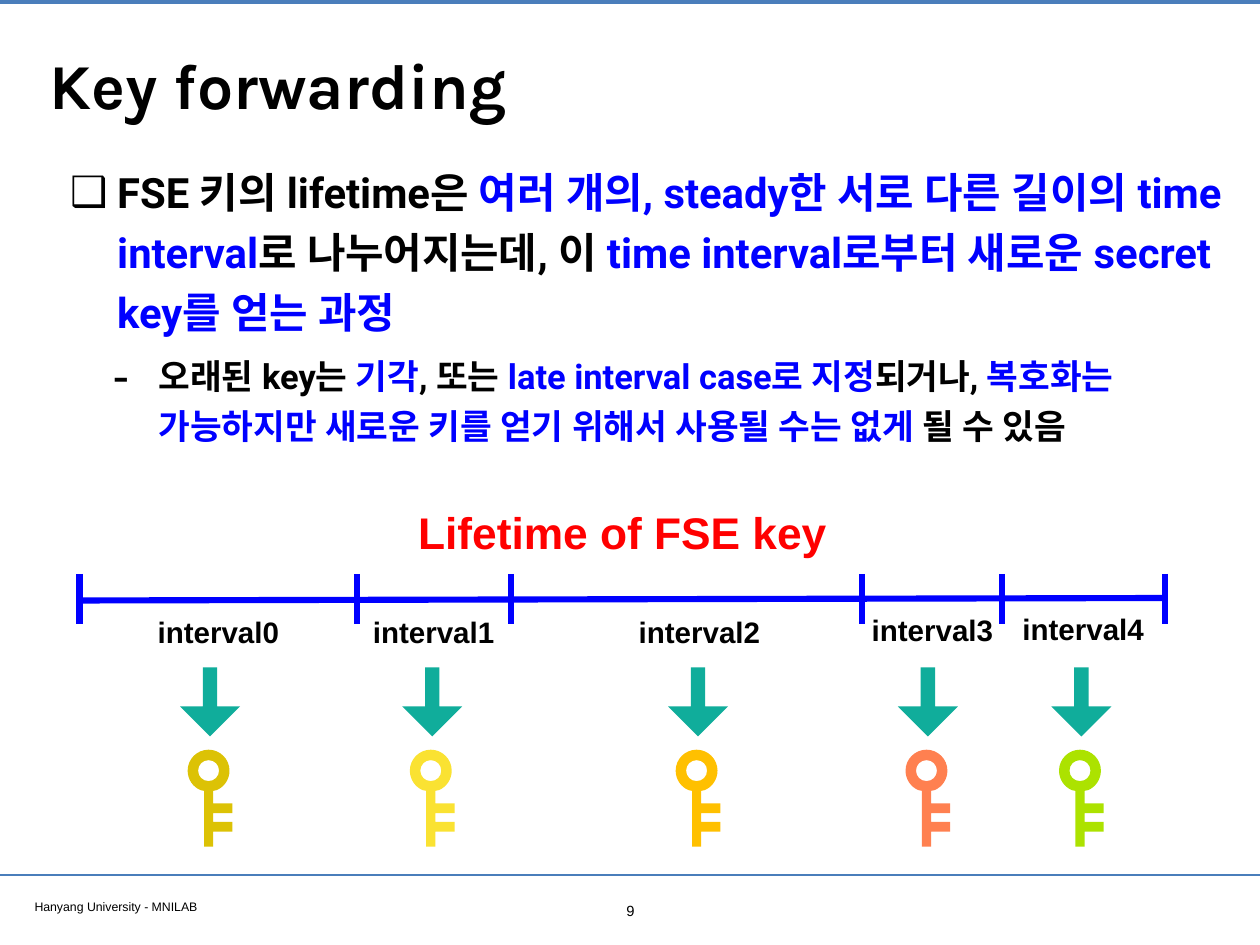
from lxml import etree
from pptx import Presentation
from pptx import util as u
from pptx.dml.color import RGBColor
from pptx.enum import shapes, text
from pptx.oxml.ns import qn

BLACK = RGBColor(0x00, 0x00, 0x00)
BLUE = RGBColor(0x00, 0x00, 0xFF)
RED = RGBColor(0xFF, 0x00, 0x00)
RULE_BLUE = RGBColor(0x4A, 0x7E, 0xBB)
TEAL = RGBColor(0x10, 0xAD, 0x9B)
INSET = u.Cm(0.15)

deck = Presentation()
deck.slide_width = u.Cm(36.12)
deck.slide_height = u.Cm(27.1)
page = deck.slides.add_slide(deck.slide_layouts[1])


def add_line(x1, y1, x2, y2, color, width):
    line = page.shapes.add_connector(
        shapes.MSO_CONNECTOR.STRAIGHT, u.Cm(x1), u.Cm(y1), u.Cm(x2), u.Cm(y2))
    line.line.color.rgb = color
    line.line.width = u.Pt(width)
    etree.SubElement(line._element.spPr, qn("a:effectLst"))


def place_text(box, place, words, size, font, color=BLACK, bold=False,
               align=text.PP_ALIGN.CENTER, anchor=text.MSO_ANCHOR.MIDDLE, wrap=True):
    """Position a box or placeholder (cm) and fill it with one formatted paragraph."""
    box.left, box.top, box.width, box.height = [u.Cm(value) for value in place]
    frame = box.text_frame
    frame.margin_left = frame.margin_right = frame.margin_top = frame.margin_bottom = INSET
    frame.auto_size = text.MSO_AUTO_SIZE.NONE
    frame.word_wrap = wrap
    frame.vertical_anchor = anchor
    frame.text = words
    para = frame.paragraphs[0]
    para.alignment = align
    for span in para.runs:
        span.font.size = u.Pt(size)
        span.font.name = font
        span.font.bold = bold
        span.font.color.rgb = color


# Frame of the page
add_line(0, 0.05, 36.12, 0.05, RULE_BLUE, 3.2)
add_line(0, 25.1, 36.12, 25.1, RULE_BLUE, 2)
place_text(page.shapes.add_textbox(0, 0, 0, 0), (0.84, 25.63, 13.87, 0.66),
           "Hanyang University - MNILAB", 10, "Arial",
           align=text.PP_ALIGN.LEFT, anchor=text.MSO_ANCHOR.TOP)
place_text(page.shapes.add_textbox(0, 0, 0, 0), (17.58, 25.7, 0.99, 0.79),
           "9", 12, "Arial", anchor=text.MSO_ANCHOR.TOP)
place_text(page.shapes.title, (1.27, 0.68, 33.55, 3.43), "Key forwarding", 52, "Karla",
           bold=True, align=text.PP_ALIGN.LEFT)

# Explanation: level, size, left margin, hanging indent, space before, bullet, bullet size, spans
points = [
    (0, 34, 1.35, 1.35, 0, "❑", 100, [
        ("FSE 키의 lifetime은 ", BLACK),
        ("여러 개의, steady한 서로 다른 길이의 time interval", BLUE),
        ("로 나누어지는데, 이 ", BLACK),
        ("time interval로부터 새로운 secret key를 얻는 과정", BLUE)]),
    (1, 28, 2.54, 1.32, 8, "-", 145, [
        ("오래된 key는 ", BLACK),
        ("기각", BLUE),
        (", 또는 ", BLACK),
        ("late interval case로 지정", BLUE),
        ("되거나, ", BLACK),
        ("복호화는 가능하지만 새로운 키를 얻기 위해서 사용될 수는 없게", BLUE),
        (" 될 수 있음", BLACK)]),
]
body = page.placeholders[1]
place_text(body, (1.86, 4.34, 33.91, 9.09), "", 34, "Roboto",
           align=text.PP_ALIGN.LEFT, anchor=text.MSO_ANCHOR.TOP)
for index, (level, size, margin, hang, before, bullet, bullet_size, spans) in enumerate(points):
    frame = body.text_frame
    para = frame.add_paragraph() if index else frame.paragraphs[0]
    para.level = level
    para.alignment = text.PP_ALIGN.LEFT
    para.line_spacing = 1.2
    para.space_before = u.Pt(before)
    properties = para._p.get_or_add_pPr()
    properties.set("marL", str(u.Cm(margin)))
    properties.set("indent", str(-u.Cm(hang)))
    etree.SubElement(properties, qn("a:buSzPct"), val=str(bullet_size * 1000))
    etree.SubElement(properties, qn("a:buChar"), char=bullet)
    for words, color in spans:
        span = para.add_run()
        span.text = words
        span.font.size = u.Pt(size)
        span.font.name = "Roboto"
        span.font.bold = True
        span.font.color.rgb = color
        latin = span._r.rPr.find(qn("a:latin"))
        latin.addnext(etree.Element(qn("a:ea"), typeface="Roboto"))

# Timeline
place_text(page.shapes.add_textbox(0, 0, 0, 0), (11.84, 14.35, 12.01, 1.83),
           "Lifetime of FSE key", 36, "Arial", RED, bold=True, wrap=False)
ticks = [2.28, 10.24, 14.66, 24.71, 28.73, 33.4]
add_line(ticks[0], 17.22, ticks[-1], 17.15, BLUE, 5)
for x in ticks:
    add_line(x, 16.46, x, 17.89, BLUE, 5)

# Key outline in hundredths of a cm around the centre of its ring;
# each three points of a curve are two handles and an end
key_outline = [
    (0, -60),
    (33, -60), (60, -33), (60, 0), (60, 25), (45, 47), (23, 56),
    (13, 58), (13, 94), (68, 94), (68, 122), (13, 122),
    (13, 147), (68, 147), (68, 175), (13, 175),
    (13, 218), (-13, 218), (-13, 58), (-23, 56),
    (-45, 47), (-60, 25), (-60, 0), (-60, -33), (-33, -60), (0, -60)]
hole_outline = [
    (0, -30),
    (-17, -30), (-30, -17), (-30, 0), (-30, 17), (-17, 30), (0, 30),
    (17, 30), (30, 17), (30, 0), (30, -17), (17, -30), (0, -30)]
curve_starts = [0, 3, 19, 22, 25, 28, 31, 34]

# Intervals: label centre, label top, arrow centre, key colour
intervals = [
    (6.26, 17.45, 6.02, RGBColor(0xDC, 0xC2, 0x05)),
    (12.43, 17.45, 12.39, RGBColor(0xFA, 0xE2, 0x32)),
    (20.05, 17.45, 20.01, RGBColor(0xFF, 0xC0, 0x00)),
    (26.73, 17.4, 26.6, RGBColor(0xFF, 0x80, 0x50)),
    (31.05, 17.37, 31.0, RGBColor(0xAC, 0xE2, 0x00)),
]
for number, (label_x, label_y, arrow_x, key_color) in enumerate(intervals):
    place_text(page.shapes.add_textbox(0, 0, 0, 0), (label_x - 1.92, label_y, 3.84, 1.32),
               f"interval{number}", 24, "Arial", bold=True, wrap=False)
    builder = page.shapes.build_freeform(*key_outline[0], scale=u.Cm(0.01))
    builder.add_line_segments(key_outline[1:])
    builder.move_to(*hole_outline[0])
    builder.add_line_segments(hole_outline[1:])
    key = builder.convert_to_shape(u.Cm(arrow_x - 0.04), u.Cm(22.1))
    segments = list(key._element.iter(qn("a:lnTo")))
    for start in curve_starts:
        curve = etree.Element(qn("a:cubicBezTo"))
        segments[start].addprevious(curve)
        for segment in segments[start:start + 3]:
            curve.append(segment[0])
            segment.getparent().remove(segment)
    arrow = page.shapes.add_shape(shapes.MSO_SHAPE.RIGHT_ARROW, u.Cm(arrow_x - 0.99),
                                  u.Cm(19.27), u.Cm(1.98), u.Cm(1.72))
    arrow.rotation = 90
    arrow.adjustments[0] = 0.24
    arrow.adjustments[1] = 0.5
    for shape, color in ((key, key_color), (arrow, TEAL)):
        shape.fill.solid()
        shape.fill.fore_color.rgb = color
        shape.line.fill.background()
        shape.shadow.inherit = False

deck.save("out.pptx")
